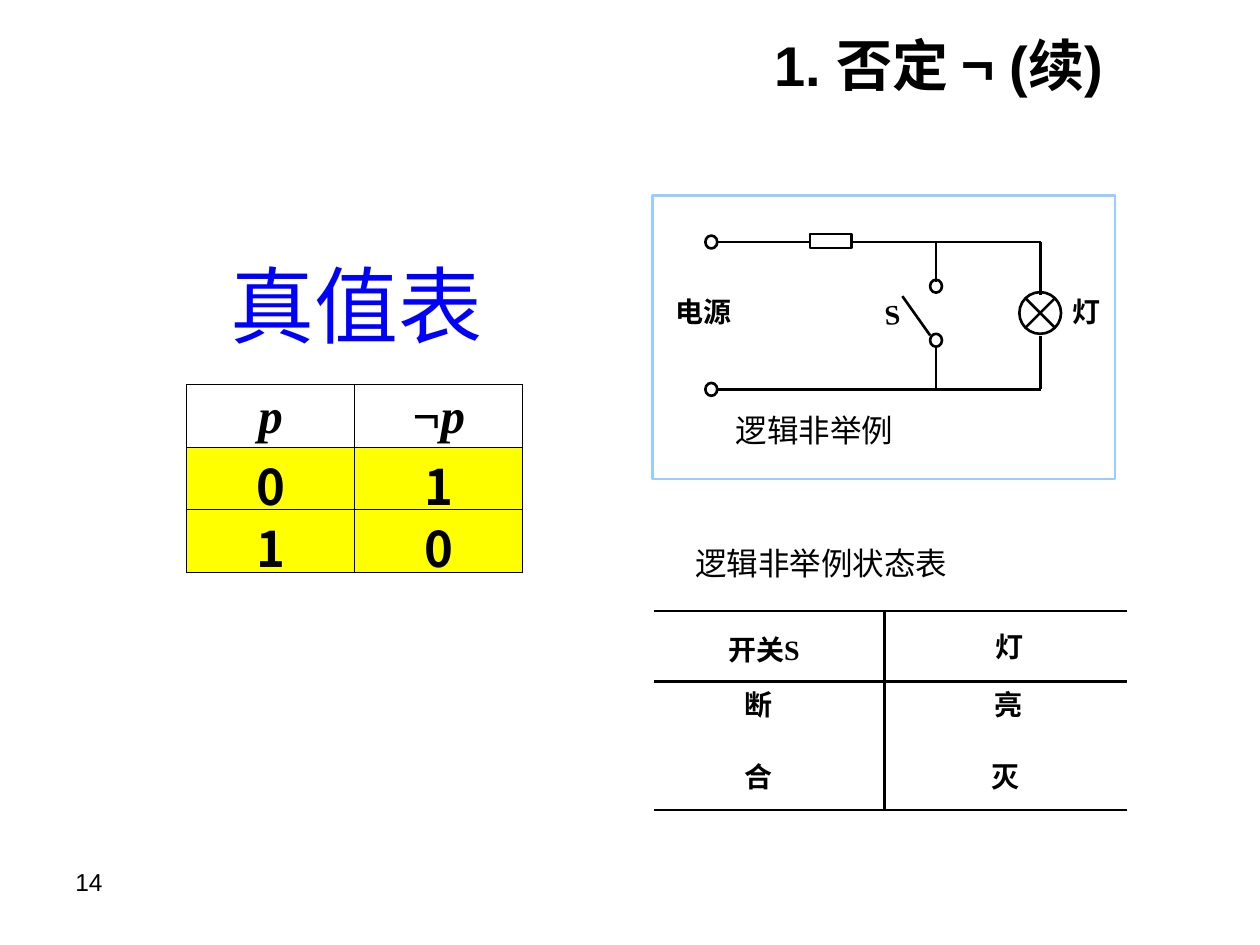
from lxml import etree
from pptx import Presentation
from pptx.dml.color import RGBColor
from pptx.enum.shapes import MSO_CONNECTOR, MSO_SHAPE
from pptx.enum.text import MSO_ANCHOR, PP_ALIGN
from pptx.oxml.ns import qn
from pptx.util import Cm, Pt

LINE = MSO_CONNECTOR.STRAIGHT
RECT, OVAL = MSO_SHAPE.RECTANGLE, MSO_SHAPE.OVAL
LAMP = MSO_SHAPE.FLOWCHART_SUMMING_JUNCTION
LEFT, MID, RIGHT = PP_ALIGN.LEFT, PP_ALIGN.CENTER, PP_ALIGN.RIGHT
CENTER = MSO_ANCHOR.MIDDLE

THEME = {
    "ink": RGBColor(0, 0, 0), "blue": RGBColor(0, 0, 255),
    "frame": RGBColor(0x99, 0xCC, 0xFF), "white": RGBColor(255, 255, 255),
    "yellow": RGBColor(255, 255, 0),
    "sans": "Arial", "serif": "Times New Roman", "han": "Noto Sans CJK SC",
    "title": 32, "head": 48, "cell": 28, "note": 18, "label": 16, "page": 14,
    "wire": 1.5,
}
SANS, SERIF, HAN = THEME["sans"], THEME["serif"], THEME["han"]


def write(para, runs, size, hue="ink", bold=True, align=MID):
    para.alignment = align
    for text, face in runs:
        run = para.add_run()
        run.text = text
        font = run.font
        font.size, font.bold = Pt(THEME[size]), bold
        font.italic = text == "p"
        font.color.rgb = THEME[hue]
        font.name = face
        east = etree.SubElement(font._element, qn("a:ea"))
        east.set("typeface", HAN)


def label(x, y, w, h, runs, size, hue="ink", bold=True, align=MID,
          wrap=True, tight=False):
    box = slide.shapes.add_textbox(Cm(x), Cm(y), Cm(w), Cm(h))
    frame = box.text_frame
    frame.word_wrap = wrap
    if tight:
        frame.margin_left = frame.margin_right = 0
        frame.margin_top = frame.margin_bottom = 0
    write(frame.paragraphs[0], runs, size, hue, bold, align)
    return box


deck = Presentation()
deck.slide_width, deck.slide_height = Cm(25.4), Cm(19.05)
slide = deck.slides.add_slide(deck.slide_layouts[6])

title = label(5.49, 0.71, 17, 1.17,
              [("1. 否定 ", SANS), ("¬", HAN), (" (续)", SANS)],
              "title", align=RIGHT)
title.text_frame.vertical_anchor = CENTER
label(3.48, 4.98, 7.42, 2.29, [("真值表", SERIF)], "head", "blue", False)
label(1.27, 17.35, 5.92, 1.32, [("14", SANS)], "page", bold=False, align=LEFT)

truth = [
    [[("p", SERIF)], [("¬", SERIF), ("p", SERIF)]],
    [[("0", HAN)], [("1", HAN)]],
    [[("1", HAN)], [("0", HAN)]],
]
table = slide.shapes.add_table(3, 2, Cm(3.76), Cm(7.75), Cm(6.78), Cm(3.78)).table
for col in table.columns:
    col.width = Cm(3.39)
for r, row in enumerate(truth):
    table.rows[r].height = Cm(1.26)
    for c, runs in enumerate(row):
        cell = table.cell(r, c)
        cell.margin_left = cell.margin_right = cell.margin_top = Cm(0.03)
        cell.margin_bottom = 0
        cell.vertical_anchor = CENTER
        write(cell.text_frame.paragraphs[0], runs, "cell")
        props = cell._tc.get_or_add_tcPr()
        for side in ("a:lnL", "a:lnR", "a:lnT", "a:lnB"):
            edge = etree.SubElement(props, qn(side), w=str(Pt(0.5)))
            fill = etree.SubElement(edge, qn("a:solidFill"))
            etree.SubElement(fill, qn("a:srgbClr"), val=str(THEME["ink"]))
        cell.fill.solid()
        cell.fill.fore_color.rgb = THEME["yellow" if r else "white"]

top, base, fork, lamp = 4.88, 7.85, 18.87, 20.98
start, end, split = 13.18, 22.71, 17.83
rules = (12.32, 13.74, 16.33)
wires = [(start, y, end, y) for y in rules]
wires += [
    (split, rules[0], split, rules[-1]),
    (14.48, top, 16.33, top),
    (17.17, top, lamp, top),
    (lamp, top, lamp, 5.94),
    (lamp, 6.78, lamp, base),
    (lamp, base, 14.45, base),
    (fork, top, fork, 5.69),
    (18.75, 6.76, 18.19, 5.97),
    (fork, 7.01, fork, base),
]
for x1, y1, x2, y2 in wires:
    wire = slide.shapes.add_connector(LINE, Cm(x1), Cm(y1), Cm(x2), Cm(y2))
    wire.line.color.rgb = THEME["ink"]
    wire.line.width = Pt(THEME["wire"])
    etree.SubElement(wire._element.spPr, qn("a:effectLst"))

nodes = [(14.34, top), (14.34, base), (fork, 5.77), (fork, 6.86)]
parts = [(OVAL, x - 0.12, y - 0.13, 0.24, 0.26, "ink") for x, y in nodes]
parts += [
    (RECT, 16.33, 4.72, 0.84, 0.28, "ink"),
    (LAMP, 20.55, 5.89, 0.84, 0.84, "ink"),
    (RECT, 13.16, 3.94, 9.32, 5.72, "frame"),
]
for kind, x, y, w, h, hue in parts:
    part = slide.shapes.add_shape(kind, Cm(x), Cm(y), Cm(w), Cm(h))
    part.shadow.inherit = False
    part.fill.background()
    part.line.color.rgb = THEME[hue]
    part.line.width = Pt(THEME["wire"])

for x, y, w, text in [
    (13.36, 5.82, 1.65, "电源"), (21.36, 5.82, 1.07, "灯"),
    (14.76, 13.74, 1.07, "断"), (19.79, 13.74, 1.07, "亮"),
    (14.76, 15.19, 1.07, "合"), (19.74, 15.19, 1.07, "灭"),
]:
    label(x, y, w, 0.94, [(text, SERIF)], "label", wrap=False)

label(14.55, 12.75, 1.7, 0.61, [("开关", HAN), ("S", SERIF)], "label", tight=True)
label(19.94, 12.7, 0.84, 0.69, [("灯", SERIF)], "label", tight=True)
switch = label(17.73, 5.99, 0.51, 0.69, [("S", SERIF)], "label", tight=True)
switch.rotation = -4.6

for x, y, w, text in [
    (14.83, 8.38, 5.72, "逻辑非举例"),
    (14.02, 11.05, 7.82, "逻辑非举例状态表"),
]:
    note = label(x, y, w, 0.69, [(text, HAN)], "note", bold=False,
                 align=LEFT, tight=True)
    note.text_frame.paragraphs[0].line_spacing = 0.9

deck.save("out.pptx")
